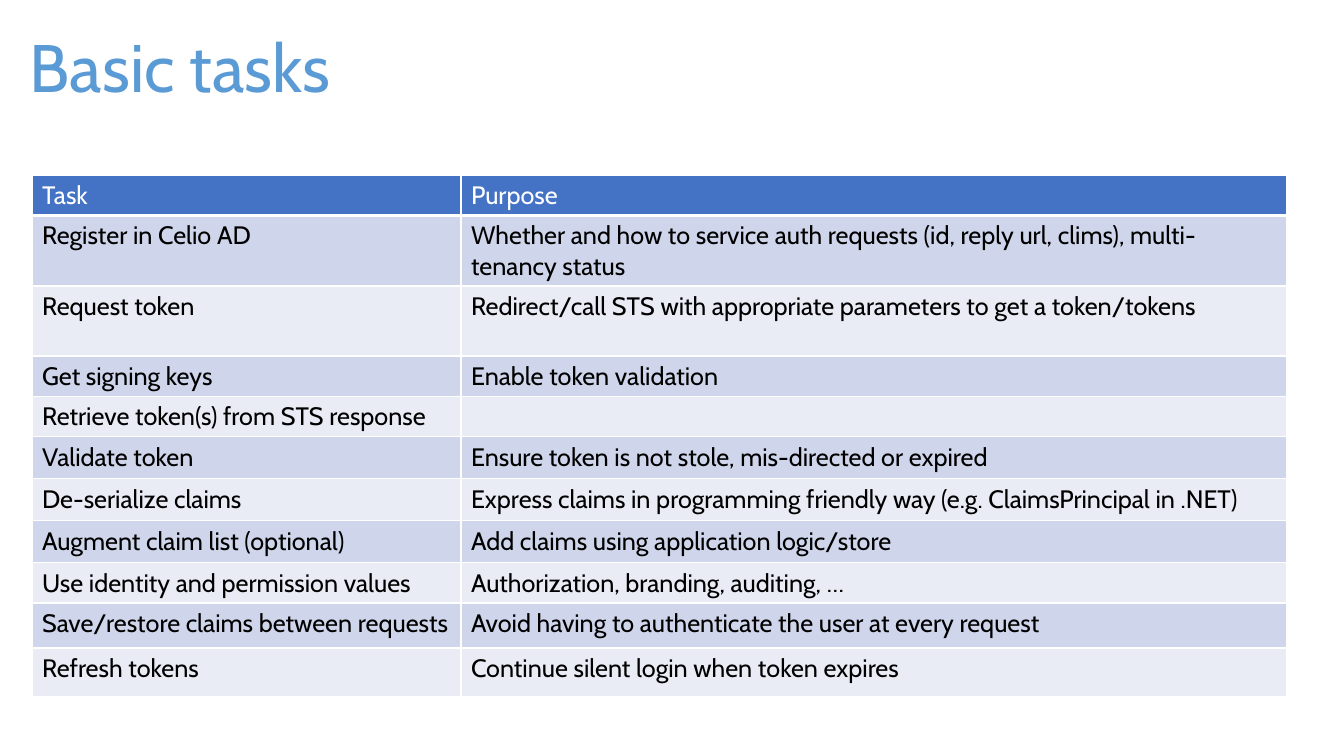
import pptx
import pptx.dml.color
import pptx.enum.text
import pptx.oxml
import pptx.oxml.ns
import pptx.util

WHITE = pptx.dml.color.RGBColor(0xFF, 0xFF, 0xFF)
BLACK = pptx.dml.color.RGBColor(0x00, 0x00, 0x00)
TITLE_BLUE = pptx.dml.color.RGBColor(0x5B, 0x9B, 0xD5)
HEADER_BLUE = pptx.dml.color.RGBColor(0x44, 0x72, 0xC4)
DARK_BAND = pptx.dml.color.RGBColor(0xCF, 0xD5, 0xEA)
LIGHT_BAND = pptx.dml.color.RGBColor(0xE9, 0xEB, 0xF5)

COLUMN_WIDTHS = [429, 826]
TASKS = [
    (40, "Task", "Purpose"),
    (70, "Register in Celio AD",
     "Whether and how to service auth requests (id, reply url, clims), multi-tenancy status"),
    (70, "Request token",
     "Redirect/call STS with appropriate parameters to get a token/tokens"),
    (39, "Get signing keys", "Enable token validation"),
    (39, "Retrieve token(s) from STS response", ""),
    (42, "Validate token", "Ensure token is not stole, mis-directed or expired"),
    (42, "De-serialize claims",
     "Express claims in programming friendly way (e.g. ClaimsPrincipal in .NET)"),
    (42, "Augment claim list (optional)", "Add claims using application logic/store"),
    (39, "Use identity and permission values", "Authorization, branding, auditing, …"),
    (45, "Save/restore claims between requests",
     "Avoid having to authenticate the user at every request"),
    (49, "Refresh tokens", "Continue silent login when token expires"),
]


def px(length):
    """Turn a length in px into EMU."""
    return pptx.util.Emu(round(length * 914400 / 100.8))


class SlideBuilder:
    """Hold the font and the current slide, and add elements to it."""

    def __init__(self, slide, font_name):
        """Remember the slide and its font."""
        self.slide = slide
        self.font_name = font_name

    def add_run(self, paragraph, text, size, color):
        """Add one styled run to a paragraph."""
        run = paragraph.add_run()
        run.text = text
        run.font.name = self.font_name
        run.font.size = pptx.util.Pt(size)
        run.font.color.rgb = color

    def add_title(self, text, left, top, width, height):
        """Add the title, centred vertically in its box."""
        shape = self.slide.shapes.add_textbox(px(left), px(top), px(width), px(height))
        frame = shape.text_frame
        frame.word_wrap = True
        frame.vertical_anchor = pptx.enum.text.MSO_ANCHOR.MIDDLE
        paragraph = frame.paragraphs[0]
        paragraph.line_spacing = 0.9
        self.add_run(paragraph, text, 48, TITLE_BLUE)

    def add_border(self, cell, side, width):
        """Add a white line on one side of a cell."""
        cell_properties = cell._tc.get_or_add_tcPr()
        cell_properties.append(pptx.oxml.parse_xml(
            f'<a:{side} {pptx.oxml.ns.nsdecls("a")} w="{pptx.util.Pt(width)}">'
            f'<a:solidFill><a:srgbClr val="{WHITE}"/></a:solidFill></a:{side}>'))

    def add_cell(self, cell, text, is_header, fill_color):
        """Fill one table cell with borders, colour and text."""
        for side in ("lnL", "lnR", "lnT", "lnB"):
            self.add_border(cell, side, 3 if is_header and side == "lnB" else 1)
        cell.fill.solid()
        cell.fill.fore_color.rgb = fill_color
        if text:
            paragraph = cell.text_frame.paragraphs[0]
            self.add_run(paragraph, text, 18, WHITE if is_header else BLACK)

    def add_table(self, rows, column_widths, left, top):
        """Add a banded table whose rows start with their height."""
        heights = [row[0] for row in rows]
        table = self.slide.shapes.add_table(
            len(rows), len(column_widths), px(left), px(top),
            px(sum(column_widths)), px(sum(heights))).table
        for column, width in zip(table.columns, column_widths):
            column.width = px(width)
        for index, (height, *texts) in enumerate(rows):
            table.rows[index].height = px(height)
            band = DARK_BAND if index % 2 else LIGHT_BAND
            fill_color = band if index else HEADER_BLUE
            for cell, text in zip(table.rows[index].cells, texts):
                self.add_cell(cell, text, index == 0, fill_color)


def main():
    """Build and save the slide."""
    presentation = pptx.Presentation()
    presentation.slide_width = px(1344)
    presentation.slide_height = px(756)
    slide = presentation.slides.add_slide(presentation.slide_layouts[6])
    builder = SlideBuilder(slide, "Cabin")
    builder.add_title("Basic tasks", 20, 20, 1309, 101)
    builder.add_table(TASKS, COLUMN_WIDTHS, 32, 175)
    presentation.save("out.pptx")


if __name__ == "__main__":
    main()
